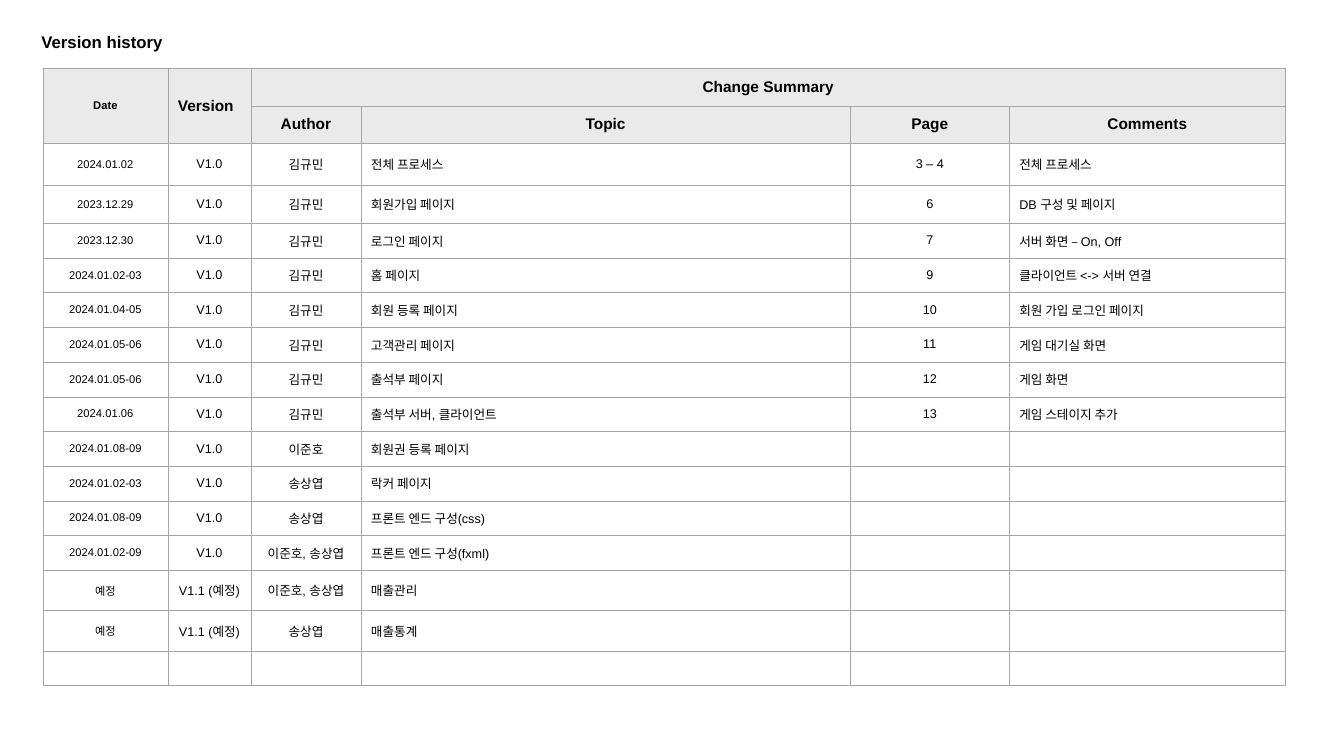
from dataclasses import dataclass
from typing import Any

from lxml.etree import SubElement
from pptx import Presentation
from pptx.dml.color import RGBColor
from pptx.enum.text import MSO_ANCHOR, MSO_AUTO_SIZE, PP_ALIGN
from pptx.oxml.ns import qn
from pptx.util import Pt


@dataclass(frozen=True)
class Theme:
    font: str = "Arial"
    text: str = "000000"
    header_fill: str = "EAEAEA"
    border: str = "A6A6A6"
    border_width: float = 0.25
    title_size: float = 12
    header_size: float = 11
    body_size: float = 9
    date_size: float = 8


@dataclass(frozen=True)
class Column:
    heading: str
    width: float
    align: Any = PP_ALIGN.CENTER
    heading_align: Any = PP_ALIGN.CENTER
    heading_size: float = Theme.header_size
    size: float = Theme.body_size


@dataclass(frozen=True)
class Change:
    date: str = ""
    version: str = ""
    author: str = ""
    topic: str = ""
    page: str = ""
    comment: str = ""
    height: float = 24.8

    def texts(self) -> tuple[str, ...]:
        return self.date, self.version, self.author, self.topic, self.page, self.comment


THEME = Theme()
HEADER_HEIGHT = 26.8
SUMMARY_START = 2  # first column below "Change Summary"

COLUMNS = [
    Column("Date", 89.3, heading_size=THEME.date_size, size=THEME.date_size),
    Column("Version", 59.4, heading_align=PP_ALIGN.LEFT),
    Column("Author", 78.5),
    Column("Topic", 349.6, align=PP_ALIGN.LEFT),
    Column("Page", 113.5),
    Column("Comments", 197.3, align=PP_ALIGN.LEFT),
]

CHANGES = [
    Change("2024.01.02", "V1.0", "김규민", "전체 프로세스", "3 – 4", "전체 프로세스", 30),
    Change("2023.12.29", "V1.0", "김규민", "회원가입 페이지", "6", "DB 구성 및 페이지", 27.2),
    Change("2023.12.30", "V1.0", "김규민", "로그인 페이지", "7", "서버 화면 – On, Off"),
    Change("2024.01.02-03", "V1.0", "김규민", "홈 페이지", "9", "클라이언트 <-> 서버 연결"),
    Change("2024.01.04-05", "V1.0", "김규민", "회원 등록 페이지", "10", "회원 가입 로그인 페이지"),
    Change("2024.01.05-06", "V1.0", "김규민", "고객관리 페이지", "11", "게임 대기실 화면"),
    Change("2024.01.05-06", "V1.0", "김규민", "출석부 페이지", "12", "게임 화면"),
    Change("2024.01.06", "V1.0", "김규민", "출석부 서버, 클라이언트", "13", "게임 스테이지 추가"),
    Change("2024.01.08-09", "V1.0", "이준호", "회원권 등록 페이지"),
    Change("2024.01.02-03", "V1.0", "송상엽", "락커 페이지"),
    Change("2024.01.08-09", "V1.0", "송상엽", "프론트 엔드 구성(css)"),
    Change("2024.01.02-09", "V1.0", "이준호, 송상엽", "프론트 엔드 구성(fxml)"),
    Change("예정", "V1.1 (예정)", "이준호, 송상엽", "매출관리"),
    Change("예정", "V1.1 (예정)", "송상엽", "매출통계"),
    Change(),
]


def apply_format(target: Any, values: dict[str, Any]) -> None:
    for name, value in values.items():
        setattr(target, name, value)


def write_text(paragraph: Any, text: str, size: float, bold: bool, align: Any) -> None:
    paragraph.alignment = align
    if not text:
        # An empty cell keeps its row low through the end mark's size
        SubElement(paragraph._p, qn("a:endParaRPr"), sz=str(int(size * 100)))
        return
    run = paragraph.add_run()
    run.text = text
    apply_format(run.font, {"name": THEME.font, "size": Pt(size), "bold": bold})
    run.font.color.rgb = RGBColor.from_string(THEME.text)


def draw_borders(cell: Any) -> None:
    properties = cell._tc.get_or_add_tcPr()
    for index, side in enumerate(("lnL", "lnR", "lnT", "lnB")):
        line = SubElement(properties, qn(f"a:{side}"), w=str(Pt(THEME.border_width)))
        fill = SubElement(line, qn("a:solidFill"))
        SubElement(fill, qn("a:srgbClr"), val=THEME.border)
        properties.insert(index, line)  # borders come before the fill


def write_cell(cell: Any, text: str, size: float, align: Any, header: bool = False) -> None:
    cell.vertical_anchor = MSO_ANCHOR.MIDDLE
    paragraph = cell.text_frame.paragraphs[0]
    paragraph.space_before = Pt(size * 0.2)
    write_text(paragraph, text, size, header, align)


def draw_title(slide: Any) -> None:
    title = slide.shapes.title
    apply_format(title, {"left": Pt(22.3), "top": Pt(18.7), "width": Pt(725), "height": Pt(21.6)})
    frame = title.text_frame
    apply_format(frame, {"word_wrap": True, "vertical_anchor": MSO_ANCHOR.MIDDLE,
                         "auto_size": MSO_AUTO_SIZE.SHAPE_TO_FIT_TEXT})
    write_text(frame.paragraphs[0], "Version history", THEME.title_size, True, PP_ALIGN.LEFT)


def draw_history(slide: Any) -> None:
    heights = [HEADER_HEIGHT] * 2 + [change.height for change in CHANGES]
    table = slide.shapes.add_table(
        len(heights), len(COLUMNS), Pt(30.6), Pt(48.7),
        Pt(sum(column.width for column in COLUMNS)), Pt(sum(heights))).table
    apply_format(table, {"first_row": False, "horz_banding": False})
    for row, height in zip(table.rows, heights):
        row.height = Pt(height)

    # Fills and borders
    for row_index, row in enumerate(table.rows):
        for cell in row.cells:
            if row_index < 2:
                cell.fill.solid()
                cell.fill.fore_color.rgb = RGBColor.from_string(THEME.header_fill)
            else:
                cell.fill.background()
            draw_borders(cell)

    # Two-level header
    table.cell(0, SUMMARY_START).merge(table.cell(0, len(COLUMNS) - 1))
    write_cell(table.cell(0, SUMMARY_START), "Change Summary", THEME.header_size,
               PP_ALIGN.CENTER, header=True)
    for index, column in enumerate(COLUMNS):
        table.columns[index].width = Pt(column.width)
        heading = table.cell(1, index)
        if index < SUMMARY_START:
            heading = table.cell(0, index)
            heading.merge(table.cell(1, index))
        write_cell(heading, column.heading, column.heading_size, column.heading_align, header=True)

    # Changes
    for row_index, change in enumerate(CHANGES, start=2):
        for index, (column, text) in enumerate(zip(COLUMNS, change.texts())):
            write_cell(table.cell(row_index, index), text, column.size, column.align)


def main() -> None:
    presentation = Presentation()
    apply_format(presentation, {"slide_width": Pt(960), "slide_height": Pt(540)})
    slide = presentation.slides.add_slide(presentation.slide_layouts[5])
    draw_title(slide)
    draw_history(slide)
    presentation.save("out.pptx")


if __name__ == "__main__":
    main()
